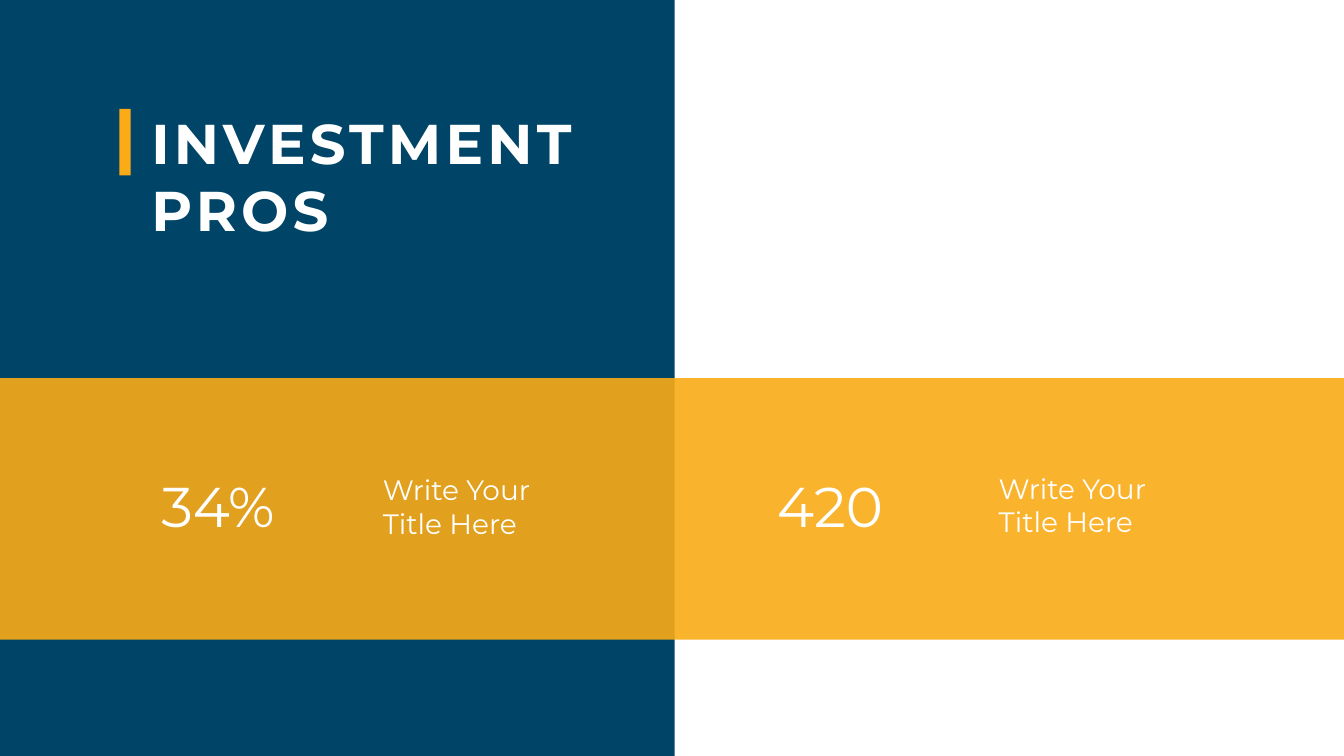
from dataclasses import dataclass

from lxml.etree import SubElement
from pptx import Presentation
from pptx.dml.color import RGBColor
from pptx.enum.shapes import MSO_SHAPE
from pptx.enum.text import MSO_ANCHOR, MSO_AUTO_SIZE, PP_ALIGN
from pptx.oxml.ns import qn
from pptx.shapes.autoshape import Shape
from pptx.slide import Slide
from pptx.text.text import _Run
from pptx.util import Inches, Pt

NAVY = RGBColor(0x00, 0x44, 0x67)
AMBER = RGBColor(0xFA, 0xAB, 0x17)
WHITE = RGBColor(0xFF, 0xFF, 0xFF)
FONT = "Montserrat"
SLIDE_WIDTH, SLIDE_HEIGHT = Inches(26.66), Inches(15)


@dataclass(frozen=True)
class Area:
    """Left, top, width and height in percent of the slide."""

    left: float
    top: float
    width: float
    height: float

    def place(self) -> tuple[int, int, int, int]:
        return (
            round(SLIDE_WIDTH * self.left / 100),
            round(SLIDE_HEIGHT * self.top / 100),
            round(SLIDE_WIDTH * self.width / 100),
            round(SLIDE_HEIGHT * self.height / 100),
        )


@dataclass(frozen=True)
class Block:
    area: Area
    color: RGBColor
    opacity: int = 100


@dataclass(frozen=True)
class Stat:
    figure: str
    caption: str
    left: float
    caption_top: float


NAVY_PANEL = Block(Area(0, 0, 50.19, 100), NAVY)
AMBER_BAND = Block(Area(0, 50, 100.08, 34.6), AMBER, opacity=90)
TITLE_BAR = Block(Area(8.89, 14.4, 0.83, 8.8), AMBER)
TITLE_AREA = Area(10.88, 14, 34.1, 18.6)

STAT_TOP, STAT_HEIGHT = 62, 9.67
FIGURE_WIDTH, CAPTION_WIDTH = 11.03, 14.5
CAPTION_OFFSET = 16.48
STATS = (
    Stat("34%", "Write Your Title Here", 11.63, 62.2),
    Stat("420", "Write Your Title Here", 57.46, 62),
)


def draw_block(slide: Slide, block: Block) -> None:
    rectangle = slide.shapes.add_shape(MSO_SHAPE.RECTANGLE, *block.area.place())
    rectangle.shadow.inherit = False
    rectangle.fill.solid()
    rectangle.fill.fore_color.rgb = block.color
    rectangle.line.fill.background()
    if block.opacity < 100:
        color = rectangle.fill._xPr.find(qn("a:solidFill"))[0]
        SubElement(color, qn("a:alpha")).set("val", str(block.opacity * 1000))


def write_text(holder: Shape, text: str, size: int, bold: bool = False) -> _Run:
    frame = holder.text_frame
    frame.word_wrap = True
    frame.auto_size = MSO_AUTO_SIZE.SHAPE_TO_FIT_TEXT
    frame.vertical_anchor = MSO_ANCHOR.TOP
    paragraph = frame.paragraphs[0]
    paragraph.alignment = PP_ALIGN.LEFT
    run = paragraph.add_run()
    run.text = text
    run.font.name = FONT
    run.font.size = Pt(size)
    run.font.bold = bold
    run.font.color.rgb = WHITE
    return run


def draw_title(slide: Slide, text: str) -> None:
    title = slide.shapes.title
    title.left, title.top, title.width, title.height = TITLE_AREA.place()
    heading = write_text(title, text, 80, bold=True)
    heading.font._element.set("spc", "600")
    slide.shapes._spTree.append(title._element)


def draw_stat(slide: Slide, stat: Stat) -> None:
    figure_area = Area(stat.left, STAT_TOP, FIGURE_WIDTH, STAT_HEIGHT)
    caption_area = Area(
        stat.left + CAPTION_OFFSET, stat.caption_top, CAPTION_WIDTH, STAT_HEIGHT
    )
    for area, text, size in (
        (figure_area, stat.figure, 80),
        (caption_area, stat.caption, 40),
    ):
        write_text(slide.shapes.add_textbox(*area.place()), text, size)


def main() -> None:
    presentation = Presentation()
    presentation.slide_width = SLIDE_WIDTH
    presentation.slide_height = SLIDE_HEIGHT
    slide = presentation.slides.add_slide(
        presentation.slide_layouts.get_by_name("Title Only")
    )
    for block in (NAVY_PANEL, AMBER_BAND):
        draw_block(slide, block)
    draw_title(slide, "INVESTMENT PROS")
    draw_block(slide, TITLE_BAR)
    for stat in STATS:
        draw_stat(slide, stat)
    presentation.save("out.pptx")


if __name__ == "__main__":
    main()
